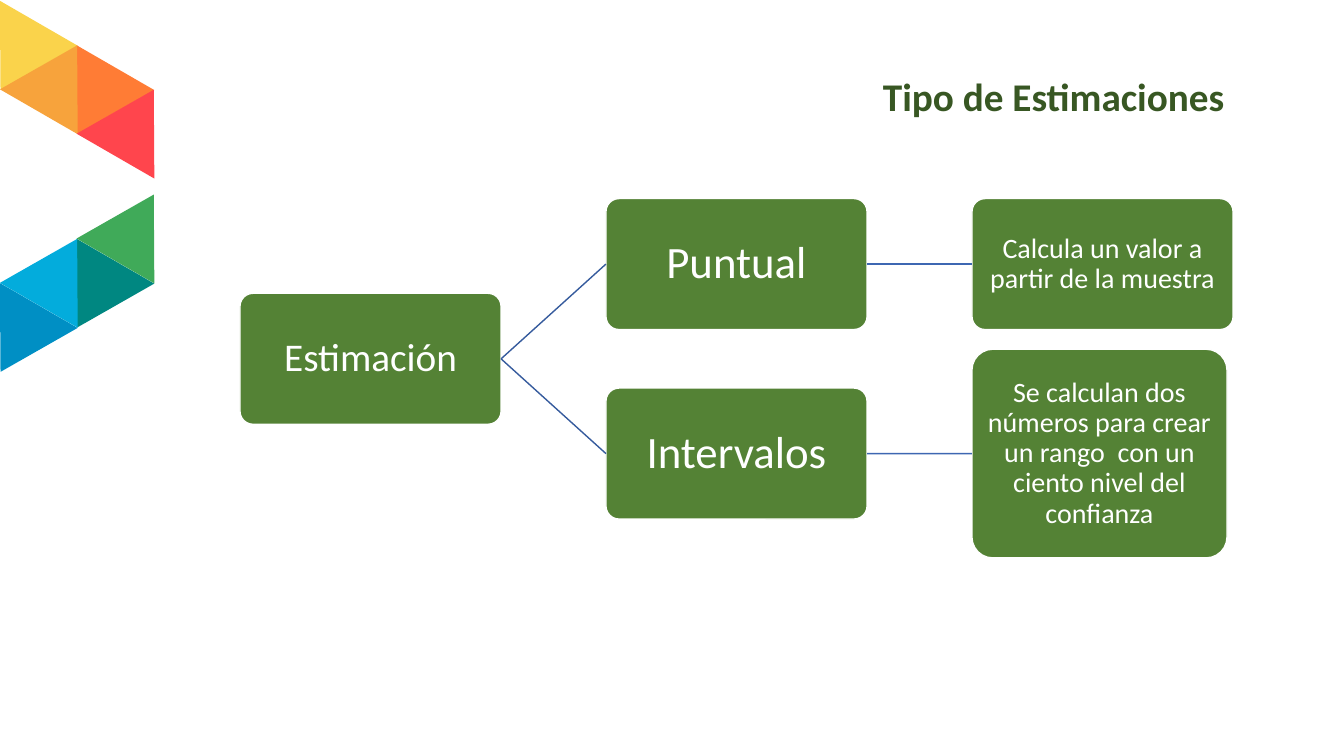
from dataclasses import dataclass

from lxml.etree import SubElement
from pptx import Presentation
from pptx.dml.color import RGBColor
from pptx.enum.shapes import MSO_CONNECTOR as Connector
from pptx.enum.shapes import MSO_SHAPE as Preset
from pptx.enum.text import MSO_ANCHOR as Anchor
from pptx.enum.text import PP_ALIGN as Align
from pptx.oxml.ns import qn
from pptx.shapes.autoshape import Shape
from pptx.slide import Slide
from pptx.text.text import TextFrame
from pptx.util import Inches, Pt

FONT = "Calibri"
WHITE = RGBColor(0xFF, 0xFF, 0xFF)
GREEN = RGBColor(0x54, 0x82, 0x35)
DARK_GREEN = RGBColor(0x38, 0x57, 0x23)
BRANCH_BLUE = RGBColor(0x36, 0x5B, 0x9D)
DETAIL_BLUE = RGBColor(0x3E, 0x67, 0xB2)

# Tree grid: left edges by column, vertical centres by row
TREE_LEFT, TREE_COLUMN = 2.38, 3.63
TREE_MIDDLE, TREE_ROW = 2.62, 0.94
BOX_WIDTH, BOX_HEIGHT = 2.59, 1.3

# Triangle grid
TRIANGLE_LEFT, TRIANGLE_COLUMN, TRIANGLE_ROW = -0.25, 0.38, 0.22
TRIANGLE_WIDTH, TRIANGLE_HEIGHT = 0.89, 0.76
UPPER_TOP, LOWER_TOP = 0.18, 1.88
POINTING_LEFT, POINTING_RIGHT = 210, 30


@dataclass(frozen=True)
class Triangle:
    top: float
    column: int
    row: int
    rotation: float
    color: RGBColor


@dataclass(frozen=True)
class Box:
    text: str
    column: int
    row: int
    size: int
    margin: float = 0.02
    width: float = BOX_WIDTH
    height: float = BOX_HEIGHT


@dataclass(frozen=True)
class Link:
    start: str
    end: str
    color: RGBColor


TRIANGLES = [
    Triangle(UPPER_TOP, 0, 0, POINTING_LEFT, RGBColor(0xFA, 0xD3, 0x4B)),
    Triangle(UPPER_TOP, 2, 2, POINTING_LEFT, RGBColor(0xFF, 0x7C, 0x35)),
    Triangle(UPPER_TOP, 1, 1, POINTING_RIGHT, RGBColor(0xF7, 0xA3, 0x3C)),
    Triangle(UPPER_TOP, 3, 3, POINTING_RIGHT, RGBColor(0xFF, 0x45, 0x4D)),
    Triangle(LOWER_TOP, 2, 3, POINTING_LEFT, RGBColor(0x00, 0x87, 0x81)),
    Triangle(LOWER_TOP, 0, 5, POINTING_LEFT, RGBColor(0x00, 0x8F, 0xC4)),
    Triangle(LOWER_TOP, 1, 2, POINTING_RIGHT, RGBColor(0x03, 0xAC, 0xDC)),
    Triangle(LOWER_TOP, 3, 0, POINTING_RIGHT, RGBColor(0x40, 0xAA, 0x59)),
]

BOXES = {
    "estimation": Box("Estimación", 0, 1, 28),
    "point": Box("Puntual", 1, 0, 32),
    "point detail": Box("Calcula un valor a partir de la muestra", 2, 0, 20, 0.01),
    "interval": Box("Intervalos", 1, 2, 32),
    "interval detail": Box(
        "Se calculan dos números para crear un rango  con un ciento nivel del confianza",
        2, 2, 20, 0.01, width=2.53, height=2.07,
    ),
}

LINKS = [
    Link("estimation", "point", BRANCH_BLUE),
    Link("estimation", "interval", BRANCH_BLUE),
    Link("point", "point detail", DETAIL_BLUE),
    Link("interval", "interval detail", DETAIL_BLUE),
]


def write_text(frame: TextFrame, text: str, size: int, color: RGBColor,
               alignment: Align, bold: bool = False) -> None:
    frame.word_wrap = True
    paragraph = frame.paragraphs[0]
    paragraph.text = text
    paragraph.alignment = alignment
    paragraph.line_spacing = 0.9
    font = paragraph.font
    font.name, font.size, font.bold = FONT, Pt(size), bold
    font.color.rgb = color


def add_filled(slide: Slide, preset: Preset, left: float, top: float,
               width: float, height: float, color: RGBColor) -> Shape:
    """Add a preset shape, in inches, with a plain fill and no shadow."""
    shape = slide.shapes.add_shape(
        preset, Inches(left), Inches(top), Inches(width), Inches(height))
    shape.shadow.inherit = False
    shape.fill.solid()
    shape.fill.fore_color.rgb = color
    return shape


def add_triangle(slide: Slide, triangle: Triangle) -> None:
    shape = add_filled(
        slide, Preset.ISOSCELES_TRIANGLE,
        TRIANGLE_LEFT + triangle.column * TRIANGLE_COLUMN,
        triangle.top + triangle.row * TRIANGLE_ROW,
        TRIANGLE_WIDTH, TRIANGLE_HEIGHT, triangle.color)
    shape.line.fill.background()
    shape.rotation = triangle.rotation


def add_title(slide: Slide, text: str) -> None:
    title = slide.shapes.add_textbox(
        Inches(2.68), Inches(0.72), Inches(9.56), Inches(0.65))
    write_text(title.text_frame, text, 28, DARK_GREEN, Align.RIGHT, bold=True)


def add_box(slide: Slide, box: Box) -> Shape:
    middle = TREE_MIDDLE + box.row * TREE_ROW
    shape = add_filled(
        slide, Preset.ROUNDED_RECTANGLE, TREE_LEFT + box.column * TREE_COLUMN,
        middle - box.height / 2, box.width, box.height, GREEN)
    shape.adjustments[0] = 0.1
    shape.line.color.rgb = WHITE
    shape.line.width = Pt(1)
    frame = shape.text_frame
    frame.vertical_anchor = Anchor.MIDDLE
    frame.margin_left = frame.margin_right = Inches(box.margin)
    frame.margin_top = frame.margin_bottom = Inches(box.margin)
    write_text(frame, box.text, box.size, WHITE, Align.CENTER)
    return shape


def add_link(slide: Slide, start: Shape, end: Shape, color: RGBColor) -> None:
    """Join the right side of one box to the left side of the next."""
    connector = slide.shapes.add_connector(Connector.STRAIGHT, 0, 0, 0, 0)
    connector.begin_connect(start, 3)
    connector.end_connect(end, 1)
    connector.line.color.rgb = color
    connector.line.width = Pt(1)
    SubElement(connector._element.spPr, qn("a:effectLst"))


def main() -> None:
    presentation = Presentation()
    presentation.slide_width = Inches(13.33)
    presentation.slide_height = Inches(7.5)
    slide = presentation.slides.add_slide(presentation.slide_layouts[6])

    for triangle in TRIANGLES:
        add_triangle(slide, triangle)
    add_title(slide, "Tipo de Estimaciones")
    shapes = {name: add_box(slide, box) for name, box in BOXES.items()}
    for link in LINKS:
        add_link(slide, shapes[link.start], shapes[link.end], link.color)

    presentation.save("out.pptx")


if __name__ == "__main__":
    main()
